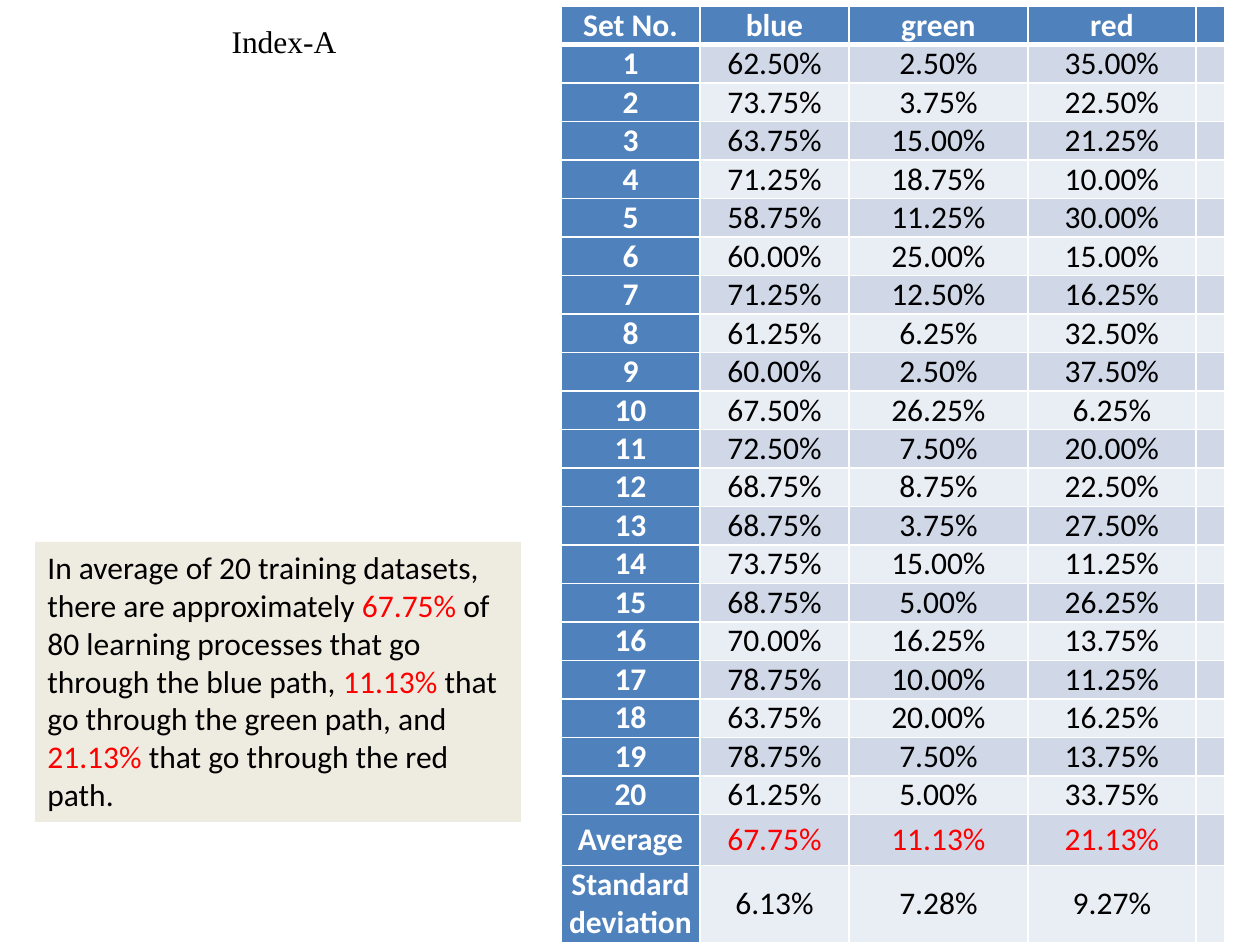
from typing import NamedTuple

from lxml.etree import SubElement
from pptx import Presentation
from pptx.dml.color import RGBColor
from pptx.enum.shapes import MSO_SHAPE
from pptx.enum.text import MSO_ANCHOR, PP_ALIGN
from pptx.oxml import parse_xml
from pptx.oxml.ns import nsdecls, qn
from pptx.util import Emu, Pt

PX = 914400 // 126
COLORS = {
    "header": "4F81BD",
    "odd": "D0D8E8",
    "even": "E9EDF4",
    "note": "EEECE1",
    "white": "FFFFFF",
    "black": "000000",
    "red": "FF0000",
}


class Box(NamedTuple):
    left: int
    top: int
    width: int
    height: int


class Row(NamedTuple):
    label: str
    shares: tuple[str, ...]
    height: int = 38
    ink: str = "black"


class Phrase(NamedTuple):
    words: str
    ink: str = "black"


TABLE_BOX = Box(561, 6, 664, 920)
NOTE_BOX = Box(35, 542, 486, 280)
TITLE_BOX = Box(35, 16, 498, 59)
COLUMN_WIDTHS = (139, 149, 179, 168, 29)

SET_SHARES = (
    ("62.50%", "2.50%", "35.00%"),
    ("73.75%", "3.75%", "22.50%"),
    ("63.75%", "15.00%", "21.25%"),
    ("71.25%", "18.75%", "10.00%"),
    ("58.75%", "11.25%", "30.00%"),
    ("60.00%", "25.00%", "15.00%"),
    ("71.25%", "12.50%", "16.25%"),
    ("61.25%", "6.25%", "32.50%"),
    ("60.00%", "2.50%", "37.50%"),
    ("67.50%", "26.25%", "6.25%"),
    ("72.50%", "7.50%", "20.00%"),
    ("68.75%", "8.75%", "22.50%"),
    ("68.75%", "3.75%", "27.50%"),
    ("73.75%", "15.00%", "11.25%"),
    ("68.75%", "5.00%", "26.25%"),
    ("70.00%", "16.25%", "13.75%"),
    ("78.75%", "10.00%", "11.25%"),
    ("63.75%", "20.00%", "16.25%"),
    ("78.75%", "7.50%", "13.75%"),
    ("61.25%", "5.00%", "33.75%"),
)
ROWS = (
    Row("Set No.", ("blue", "green", "red"), ink="white"),
    *(Row(str(number), shares) for number, shares in enumerate(SET_SHARES, 1)),
    Row("Average", ("67.75%", "11.13%", "21.13%"), 51, "red"),
    Row("Standard deviation", ("6.13%", "7.28%", "9.27%"), 76),
)
SUMMARY = (
    Phrase("In average of 20 training datasets, there are approximately "),
    Phrase("67.75% ", "red"),
    Phrase("of 80 learning processes that go through the blue path, "),
    Phrase("11.13%", "red"),
    Phrase(" that go through the green path, and "),
    Phrase("21.13% ", "red"),
    Phrase("that go through the red path."),
)


def color(name: str) -> RGBColor:
    return RGBColor.from_string(COLORS[name])


def px(length: int) -> Emu:
    return Emu(length * PX)


def place(box: Box) -> tuple[Emu, ...]:
    return tuple(px(length) for length in box)


def set_font(font, name: str = "Calibri") -> None:
    font.name = name
    font.size = Pt(18)


def set_borders(cell, bottom_points: int) -> None:
    properties = cell._tc.get_or_add_tcPr()
    for position, side in enumerate("LRTB"):
        width = Pt(bottom_points if side == "B" else 1)
        line = parse_xml(f'<a:ln{side} {nsdecls("a")} w="{width}"/>')
        fill = SubElement(line, qn("a:solidFill"))
        SubElement(fill, qn("a:srgbClr"), val=COLORS["white"])
        properties.insert(position, line)


def fill_cell(cell, words: str, background: str, ink: str, is_heading: bool, margin: int) -> None:
    cell.fill.solid()
    cell.fill.fore_color.rgb = color(background)
    cell.margin_left = cell.margin_right = px(margin)
    cell.margin_top = cell.margin_bottom = 0
    cell.vertical_anchor = MSO_ANCHOR.MIDDLE
    paragraph = cell.text_frame.paragraphs[0]
    paragraph.alignment = PP_ALIGN.CENTER
    set_font(paragraph.font)
    paragraph.font.bold = is_heading
    paragraph.font.color.rgb = color(ink)
    if words:
        paragraph.add_run().text = words


def draw_table(slide) -> None:
    table = slide.shapes.add_table(len(ROWS), len(COLUMN_WIDTHS), *place(TABLE_BOX)).table
    for column, width in zip(table.columns, COLUMN_WIDTHS):
        column.width = px(width)
    for row_index, row in enumerate(ROWS):
        table.rows[row_index].height = px(row.height)
        band = "odd" if row_index % 2 else "even"
        for column_index, words in enumerate((row.label, *row.shares, "")):
            is_heading = row_index == 0 or column_index == 0
            cell = table.cell(row_index, column_index)
            fill_cell(
                cell,
                words,
                "header" if is_heading else band,
                "white" if is_heading else row.ink,
                is_heading,
                8 if is_heading else 9,
            )
            set_borders(cell, 1 if row_index else 3)
    table.cell(0, 0).vertical_anchor = MSO_ANCHOR.TOP


def draw_summary(slide) -> None:
    note = slide.shapes.add_shape(MSO_SHAPE.RECTANGLE, *place(NOTE_BOX))
    note.shadow.inherit = False
    note.fill.solid()
    note.fill.fore_color.rgb = color("note")
    note.line.fill.background()
    note.text_frame.word_wrap = True
    note.text_frame.vertical_anchor = MSO_ANCHOR.TOP
    paragraph = note.text_frame.paragraphs[0]
    paragraph.alignment = PP_ALIGN.LEFT
    set_font(paragraph.font)
    for phrase in SUMMARY:
        run = paragraph.add_run()
        run.text = phrase.words
        run.font.color.rgb = color(phrase.ink)


def draw_title(slide) -> None:
    title = slide.shapes.add_textbox(*place(TITLE_BOX))
    title.text_frame.word_wrap = True
    paragraph = title.text_frame.paragraphs[0]
    paragraph.text = "Index-A"
    paragraph.alignment = PP_ALIGN.CENTER
    paragraph.space_before = Pt(3.6)
    set_font(paragraph.font, "Times New Roman")
    paragraph.font.color.rgb = color("black")


def main() -> None:
    presentation = Presentation()
    presentation.slide_width = px(1260)
    presentation.slide_height = px(945)
    slide = presentation.slides.add_slide(presentation.slide_layouts[6])
    draw_table(slide)
    draw_summary(slide)
    draw_title(slide)
    presentation.save("out.pptx")


if __name__ == "__main__":
    main()
